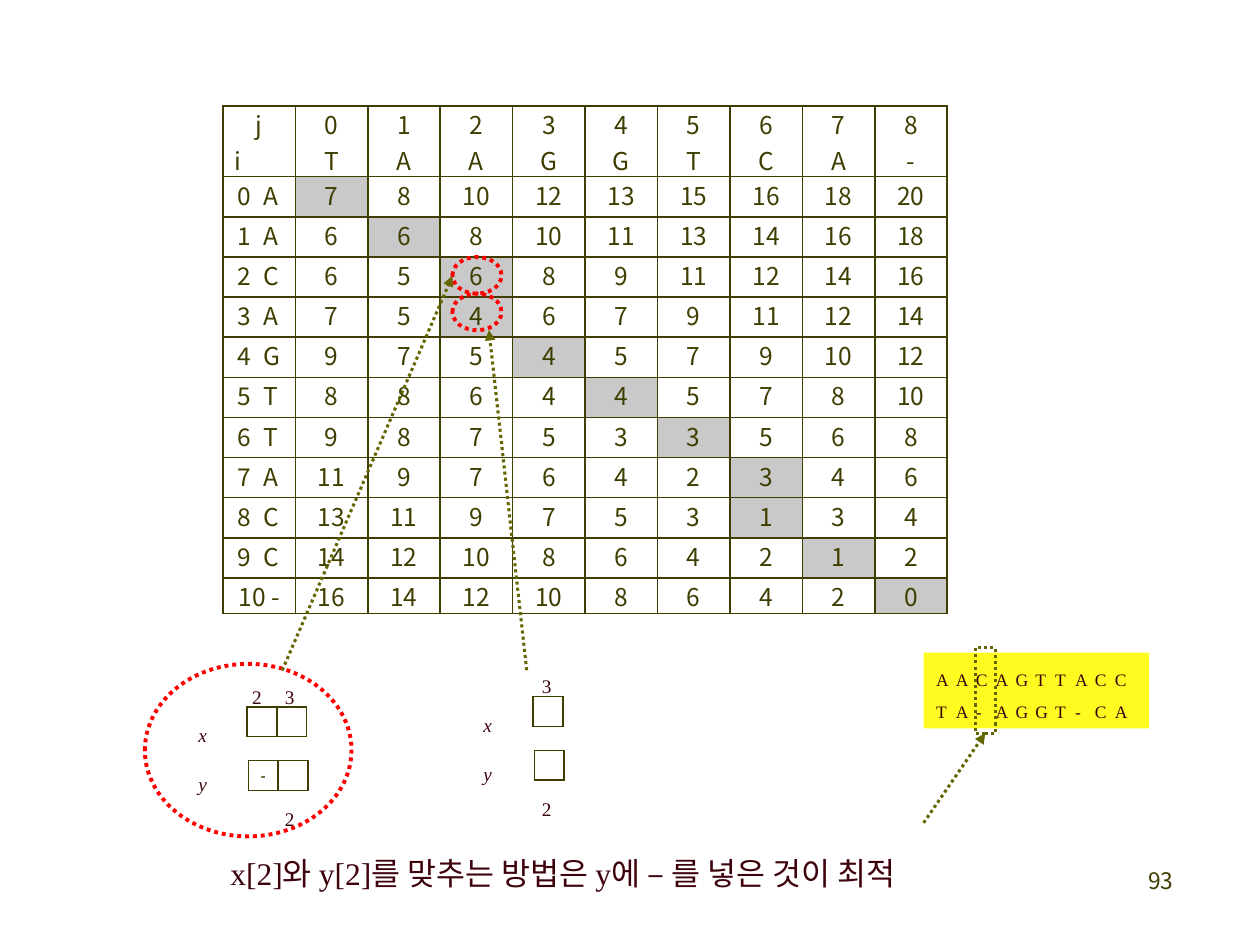
from dataclasses import dataclass

from pptx import Presentation
from pptx.dml.color import RGBColor
from pptx.enum.dml import MSO_LINE
from pptx.enum.shapes import MSO_CONNECTOR, MSO_SHAPE
from pptx.enum.text import MSO_ANCHOR, MSO_AUTO_SIZE, PP_ALIGN
from pptx.oxml.ns import qn
from pptx.slide import Slide
from pptx.table import Table, _Cell
from pptx.text.text import TextFrame
from pptx.util import Pt
from lxml import etree

LEFT, CENTER, RIGHT = PP_ALIGN.LEFT, PP_ALIGN.CENTER, PP_ALIGN.RIGHT
TOP, MIDDLE = MSO_ANCHOR.TOP, MSO_ANCHOR.MIDDLE
GROW = MSO_AUTO_SIZE.SHAPE_TO_FIT_TEXT
DOTTED = MSO_LINE.ROUND_DOT
STRAIGHT = MSO_CONNECTOR.STRAIGHT
OVAL, RECTANGLE = MSO_SHAPE.OVAL, MSO_SHAPE.RECTANGLE

OLIVE = RGBColor(0x3F, 0x3E, 0x00)
ARROW_GREEN = RGBColor(0x66, 0x66, 0x00)
MAROON = RGBColor(0x3E, 0x02, 0x0C)
RED = RGBColor(0xFF, 0x00, 0x00)
YELLOW = RGBColor(0xFF, 0xFB, 0x20)
GRAY = RGBColor(0xC9, 0xC9, 0xC9)

SANS, SERIF = "Noto Sans CJK KR", "Times New Roman"

HEADERS = "TAAGGTCA-"
ROW_LETTERS = "AACAGTTACC-"
COSTS = (
    (7, 8, 10, 12, 13, 15, 16, 18, 20),
    (6, 6, 8, 10, 11, 13, 14, 16, 18),
    (6, 5, 6, 8, 9, 11, 12, 14, 16),
    (7, 5, 4, 6, 7, 9, 11, 12, 14),
    (9, 7, 5, 4, 5, 7, 9, 10, 12),
    (8, 8, 6, 4, 4, 5, 7, 8, 10),
    (9, 8, 7, 5, 3, 3, 5, 6, 8),
    (11, 9, 7, 6, 4, 2, 3, 4, 6),
    (13, 11, 9, 7, 5, 3, 1, 3, 4),
    (14, 12, 10, 8, 6, 4, 2, 1, 2),
    (16, 14, 12, 10, 8, 6, 4, 2, 0),
)
PATH_COLUMNS = (0, 1, 2, 2, 3, 4, 5, 6, 6, 7, 8)
SEQUENCES = ("AACAGTTACC", "TA-AGGT-CA")
LETTER_PITCH = 11.35


@dataclass(frozen=True)
class Column:
    left: float
    index_shift: float
    x_index: str
    y_index: str = ""
    y_text: str = ""


@dataclass(frozen=True)
class Alignment:
    top: float
    label_left: float
    columns: tuple[Column, ...]


@dataclass(frozen=True)
class Outline:
    kind: int
    left: float
    top: float
    width: float
    height: float
    color: RGBColor
    weight: float


@dataclass(frozen=True)
class Arrow:
    start: tuple[float, float]
    end: tuple[float, float]


ALIGNMENTS = (
    Alignment(370.8, 273.4, (Column(304.6, 2.2, "3", "2"),)),
    Alignment(376.6, 110.5, (Column(141.2, 0, "2", y_text="-"), Column(158.2, 1.8, "3", "2"))),
)
OUTLINES = (
    Outline(OVAL, 258.5, 167.8, 28.1, 20.9, RED, 2.25),
    Outline(OVAL, 258.5, 146.9, 28.1, 20.9, RED, 2.25),
    Outline(OVAL, 82.8, 379.4, 118.1, 98.6, RED, 2.25),
    Outline(RECTANGLE, 557.3, 370.1, 11.5, 49, ARROW_GREEN, 1.75),
)
ARROWS = (
    Arrow((301, 383), (279.4, 188.6)),
    Arrow((161.3, 383), (258.5, 157.7)),
    Arrow((527.8, 470.2), (563, 419)),
)


def write_text(frame: TextFrame, text: str, *, size: float, font: str = SANS,
               color: RGBColor = OLIVE, align: PP_ALIGN = LEFT, bold: bool = False,
               italic: bool = False, spacing: float | Pt | None = None,
               tabs: tuple[float, ...] = ()) -> None:
    for number, line in enumerate(text.split("\n")):
        para = frame.add_paragraph() if number else frame.paragraphs[0]
        para.alignment = align
        para.line_spacing = spacing
        if tabs:
            stops = etree.SubElement(para._p.get_or_add_pPr(), qn("a:tabLst"))
            for stop in tabs:
                etree.SubElement(stops, qn("a:tab"), pos=str(int(Pt(stop))), algn="l")
        if not line:
            etree.SubElement(para._p, qn("a:endParaRPr"), sz=str(int(size * 100)))
            continue
        span = para.add_run()
        span.text = line
        span.font.size, span.font.name = Pt(size), font
        span.font.bold, span.font.italic = bold, italic
        span.font.color.rgb = color
        etree.SubElement(span._r.get_or_add_rPr(), qn("a:ea"), typeface=SANS)


def add_label(slide: Slide, text: str, left: float, top: float, width: float, height: float,
              side: float = 2.9, edge: float = 0, size: float = 11, italic: bool = False) -> None:
    box = slide.shapes.add_textbox(Pt(left), Pt(top), Pt(width), Pt(height))
    frame = box.text_frame
    frame.word_wrap, frame.auto_size = False, GROW
    frame.margin_left = frame.margin_right = Pt(side)
    frame.margin_top = frame.margin_bottom = Pt(edge)
    write_text(frame, text, size=size, font=SERIF, color=MAROON, italic=italic, spacing=Pt(28))


def add_grid(slide: Slide, left: float, top: float, widths: list[float],
             heights: list[float]) -> Table:
    table = slide.shapes.add_table(len(heights), len(widths), Pt(left), Pt(top),
                                   Pt(sum(widths)), Pt(sum(heights))).table
    table.first_row = table.horz_banding = False
    for column, width in zip(table.columns, widths):
        column.width = Pt(width)
    for row, height in zip(table.rows, heights):
        row.height = Pt(height)
    return table


def format_cell(cell: _Cell, text: str, fill: RGBColor | None = None, size: float = 14,
                bold: bool = False, anchor: MSO_ANCHOR = TOP, align: PP_ALIGN = CENTER,
                indent: float = 0, tabs: tuple[float, ...] = ()) -> None:
    cell.margin_left = Pt(indent)
    cell.margin_right = cell.margin_top = cell.margin_bottom = 0
    cell.vertical_anchor = anchor
    properties = cell._tc.get_or_add_tcPr()
    for side in "LRTB":
        border = etree.SubElement(properties, qn(f"a:ln{side}"), w=str(int(Pt(1))))
        paint = etree.SubElement(border, qn("a:solidFill"))
        etree.SubElement(paint, qn("a:srgbClr"), val=str(OLIVE))
    if fill is None:
        cell.fill.background()
    else:
        cell.fill.solid()
        cell.fill.fore_color.rgb = fill
    write_text(cell.text_frame, text, size=size, bold=bold, align=align, tabs=tabs)


def add_cost_table(slide: Slide) -> None:
    heights = [40.5] + [22.95] * 10 + [20.2]
    table = add_grid(slide, 127.4, 60.5, [41.4] * 10, heights)
    corner = table.cell(0, 0)
    format_cell(corner, "j\ni")
    row_mark = corner.text_frame.paragraphs[1]
    row_mark.alignment = LEFT
    row_mark._p.get_or_add_pPr().set("marL", str(int(Pt(6.5))))
    for column, letter in enumerate(HEADERS):
        format_cell(table.cell(0, column + 1), f"{column}\n{letter}")
    for row, (letter, costs) in enumerate(zip(ROW_LETTERS, COSTS)):
        head = table.cell(row + 1, 0)
        if row < 10:
            format_cell(head, f"{row}\t{letter}", align=LEFT, indent=8.6, tabs=(14.4,))
        else:
            format_cell(head, f"{row} {letter}")
        for column, cost in enumerate(costs):
            fill = GRAY if column == PATH_COLUMNS[row] else None
            format_cell(table.cell(row + 1, column + 1), str(cost), fill)


def add_alignment(slide: Slide, item: Alignment) -> None:
    for name, drop in (("x", 22), ("y", 50)):
        add_label(slide, name, item.label_left, item.top + drop, 10.8, 28, italic=True)
    for column in item.columns:
        for shift, drop, text in ((0, 27.3, ""), (0.7, 58, column.y_text)):
            grid = add_grid(slide, column.left + shift, item.top + drop, [17], [17])
            format_cell(grid.cell(0, 0), text, size=8, bold=True, anchor=MIDDLE)
        for drop, index in ((0, column.x_index), (69.8, column.y_index)):
            if index:
                add_label(slide, index, column.left + column.index_shift,
                          item.top + drop, 11.5, 23.8)


def add_outline(slide: Slide, item: Outline) -> None:
    shape = slide.shapes.add_shape(item.kind, Pt(item.left), Pt(item.top),
                                   Pt(item.width), Pt(item.height))
    shape.shadow.inherit = False
    shape.fill.background()
    shape.line.color.rgb = item.color
    shape.line.width, shape.line.dash_style = Pt(item.weight), DOTTED


def add_arrow(slide: Slide, item: Arrow) -> None:
    ends = [Pt(value) for value in item.start + item.end]
    arrow = slide.shapes.add_connector(STRAIGHT, *ends)
    arrow.line.color.rgb = ARROW_GREEN
    arrow.line.width, arrow.line.dash_style = Pt(1.75), DOTTED
    etree.SubElement(arrow.line._get_or_add_ln(), qn("a:tailEnd"), type="triangle")
    etree.SubElement(arrow._element.spPr, qn("a:effectLst"))


def add_sequences(slide: Slide) -> None:
    panel = slide.shapes.add_shape(RECTANGLE, Pt(527.8), Pt(373), Pt(128.9), Pt(43.2))
    panel.shadow.inherit = False
    panel.fill.solid()
    panel.fill.fore_color.rgb = YELLOW
    panel.line.fill.background()
    panel.text_frame.vertical_anchor = TOP
    stops = tuple(round(LETTER_PITCH * step, 2) for step in range(1, len(SEQUENCES[0])))
    write_text(panel.text_frame, "\n".join("\t".join(line) for line in SEQUENCES), size=10,
               font=SERIF, color=MAROON, spacing=1.5, tabs=stops)


def main() -> None:
    deck = Presentation()
    deck.slide_width, deck.slide_height = Pt(720), Pt(540)
    slide = deck.slides.add_slide(deck.slide_layouts[6])
    page_number = slide.shapes.add_textbox(Pt(527.8), Pt(491.8), Pt(149.8), Pt(36))
    page_number.text_frame.word_wrap = True
    write_text(page_number.text_frame, "93", size=13, align=RIGHT)
    add_cost_table(slide)
    for alignment in ALIGNMENTS:
        add_alignment(slide, alignment)
    add_label(slide, "x[2]와 y[2]를 맞추는 방법은 y에 – 를 넣은 것이 최적",
              124.6, 478.1, 424.8, 35.3, side=7.2, edge=3.6, size=18)
    add_sequences(slide)
    for outline in OUTLINES:
        add_outline(slide, outline)
    for arrow in ARROWS:
        add_arrow(slide, arrow)
    deck.save("out.pptx")


if __name__ == "__main__":
    main()
